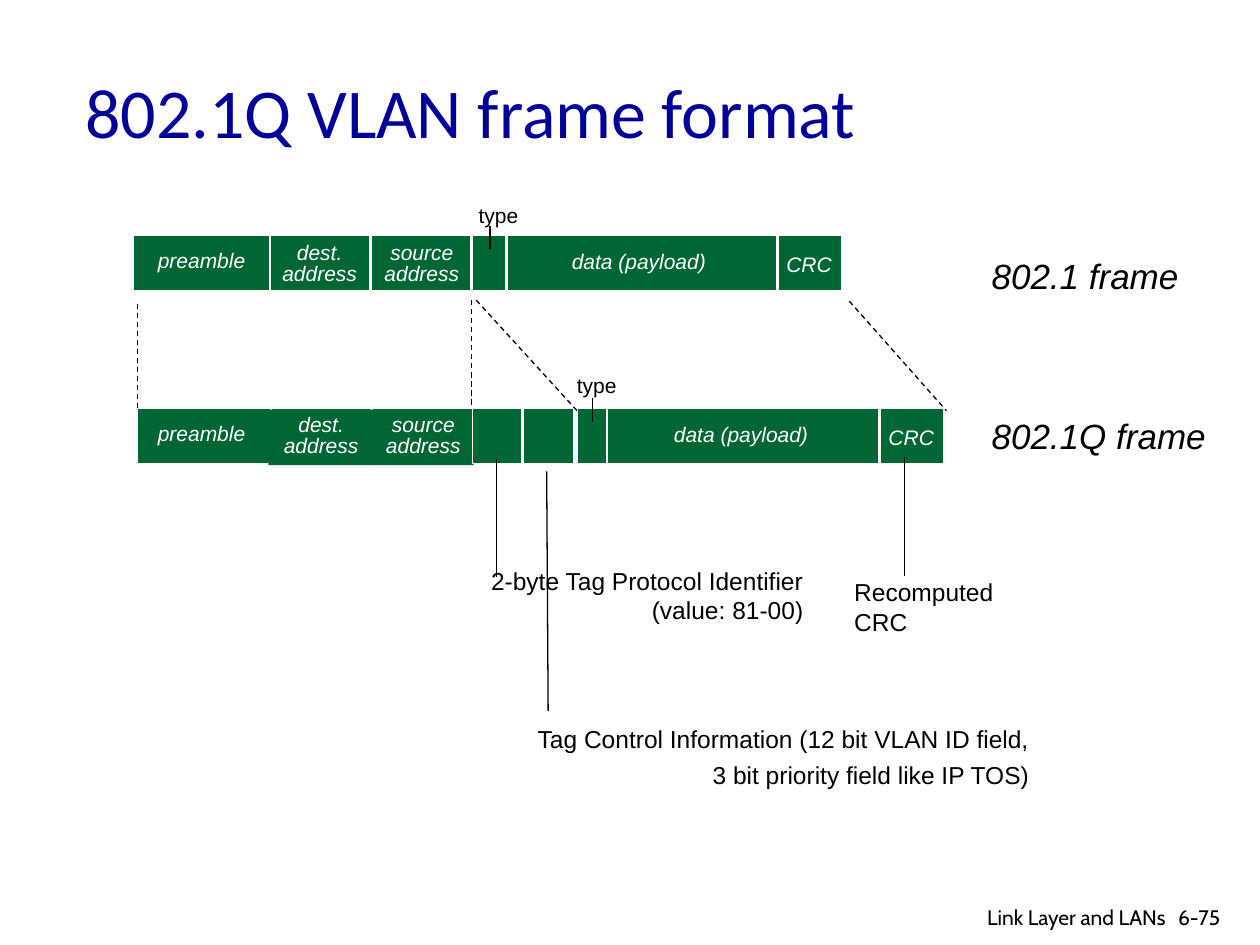
from lxml import etree
from pptx import Presentation
from pptx.dml.color import RGBColor
from pptx.enum.dml import MSO_LINE
from pptx.enum.shapes import MSO_CONNECTOR, MSO_SHAPE
from pptx.enum.text import MSO_ANCHOR as Anchor, MSO_AUTO_SIZE as AutoSize, PP_ALIGN as Align
from pptx.oxml.ns import qn
from pptx.util import Cm, Pt

BLACK = RGBColor(0x00, 0x00, 0x00)
WHITE = RGBColor(0xFF, 0xFF, 0xFF)
GREEN = RGBColor(0x00, 0x66, 0x33)
NAVY = RGBColor(0x00, 0x00, 0x99)

deck = Presentation()
deck.slide_width, deck.slide_height = Cm(25.4), Cm(19.05)
slide = deck.slides.add_slide(deck.slide_layouts[6])
shapes = slide.shapes


def add_label(text, left, top, width, height, size=12, font="Arial", color=BLACK,
              italic=False, aligns=(Align.LEFT,), anchor=Anchor.TOP, spacing=None,
              before=0, wrap=False, fill=None):
    """Add a text box; the last alignment holds for all later paragraphs."""
    box = shapes.add_textbox(Cm(left), Cm(top), Cm(width), Cm(height))
    if fill is not None:
        box.fill.solid()
        box.fill.fore_color.rgb = fill
    frame = box.text_frame
    frame.word_wrap = wrap
    frame.auto_size = AutoSize.NONE if wrap else AutoSize.SHAPE_TO_FIT_TEXT
    frame.vertical_anchor = anchor
    for index, line_text in enumerate(text.split("\n")):
        para = frame.add_paragraph() if index else frame.paragraphs[0]
        para.alignment = aligns[min(index, len(aligns) - 1)]
        if spacing is not None:
            para.line_spacing = spacing
        if index and before:
            para.space_before = Pt(before)
        span = para.add_run()
        span.text = line_text
        span.font.name, span.font.size = font, Pt(size)
        span.font.italic = italic
        span.font.color.rgb = color


def add_line(x1, y1, x2, y2, color=BLACK, width=0.75, dashed=False):
    line = shapes.add_connector(MSO_CONNECTOR.STRAIGHT, Cm(x1), Cm(y1), Cm(x2), Cm(y2))
    line.line.color.rgb = color
    line.line.width = Pt(width)
    if dashed:
        line.line.dash_style = MSO_LINE.DASH
    etree.SubElement(line._element.spPr, qn("a:effectLst"))


# Title and frame names
add_label("802.1Q VLAN frame format", 1.47, 0.64, 21.59, 3.18, size=40,
          font="Calibri", color=NAVY, anchor=Anchor.MIDDLE, wrap=True)
add_label("802.1 frame", 19.74, 5, 4.32, 1.12, size=20, italic=True)
add_label("802.1Q frame", 19.74, 8.23, 4.85, 1.12, size=20, italic=True)

# Frame bars with the dividers between their fields
bars = [
    (2.69, 4.75, 14.27, [5.44, 7.47, 9.5, 10.21, 15.67]),
    (2.77, 8.23, 6.81, [5.46, 7.49]),
    (11.63, 8.23, 7.39, [12.24, 17.73]),
]
tag_bar = (9.53, 8.23, 2.03, [10.54])

# Field names: left, top, width, height in the upper frame, shift in the lower one
fields = [
    ("preamble", 2.92, 4.95, 2.29, 0.69, 0),
    ("dest.\naddress", 5.38, 4.78, 2.13, 1.12, 0.03),
    ("source\naddress", 7.49, 4.78, 2.03, 1.12, 0.03),
    ("data (payload)", 11.23, 4.98, 3.3, 0.69, 2.06),
    ("CRC", 15.6, 5.03, 1.42, 0.69, 2.06),
]
ROW_STEP = 3.48

for group in (bars, [tag_bar]):
    for left, top, width, dividers in group:
        bar = shapes.add_shape(MSO_SHAPE.RECTANGLE, Cm(left), Cm(top), Cm(width), Cm(1.12))
        bar.shadow.inherit = False
        bar.fill.solid()
        bar.fill.fore_color.rgb = GREEN
        bar.line.color.rgb = WHITE
        bar.line.width = Pt(0.75)
        for x in dividers:
            add_line(x, top - 0.03, x, top + 1.17, color=WHITE, width=1.5)
    if group is bars:
        # The names before the tag have a green ground in the lower frame
        for row in range(2):
            for text, left, top, width, height, shift in fields:
                ground = GREEN if row and shift < 1 else None
                add_label(text, left + row * shift, top + row * ROW_STEP, width, height,
                          color=WHITE, italic=True, aligns=(Align.CENTER,),
                          spacing=Pt(12), fill=ground)

# Type fields
for label_left, label_top, x, y in [(9.4, 3.96, 9.88, 4.55), (11.38, 7.39, 11.94, 8.03)]:
    add_label("type", label_left, label_top, 1.32, 0.76)
    add_line(x, y, x, y + 0.48)

# Dashed links from the upper to the lower frame
for x1, y1, x2, y2 in [(2.77, 6.12, 2.77, 8.26), (9.5, 6.05, 9.5, 8.18),
                       (9.6, 6.05, 11.66, 8.31), (17.12, 6.07, 19.08, 8.28)]:
    add_line(x1, y1, x2, y2, dashed=True)

# Callouts of the new fields
for x1, y1, x2, y2 in [(10.01, 9.25, 10.01, 11.63), (11.02, 9.5, 11.05, 14.33),
                       (18.24, 9.22, 18.24, 11.61)]:
    add_line(x1, y1, x2, y2)
add_label("2-byte Tag Protocol Identifier\n(value: 81-00)", 9.65, 11.28, 6.96, 1.45,
          size=14, aligns=(Align.LEFT, Align.RIGHT), anchor=Anchor.MIDDLE)
add_label("Tag Control Information (12 bit VLAN ID field,\n3 bit priority field like IP TOS)",
          10.59, 14.45, 10.44, 1.6, size=14, aligns=(Align.LEFT, Align.RIGHT),
          anchor=Anchor.MIDDLE, before=4)
add_label("Recomputed\nCRC", 16.97, 11.61, 3.33, 1.35, size=14, spacing=0.8,
          anchor=Anchor.MIDDLE, before=4)

# Footer
add_label("Link Layer and LANs", 17.7, 18.11, 6.05, 0.66, font="Cabin",
          aligns=(Align.RIGHT,), wrap=True)
add_label("6-75", 23.5, 18.11, 1.52, 0.76, font="Cabin", wrap=True)

deck.save("out.pptx")
